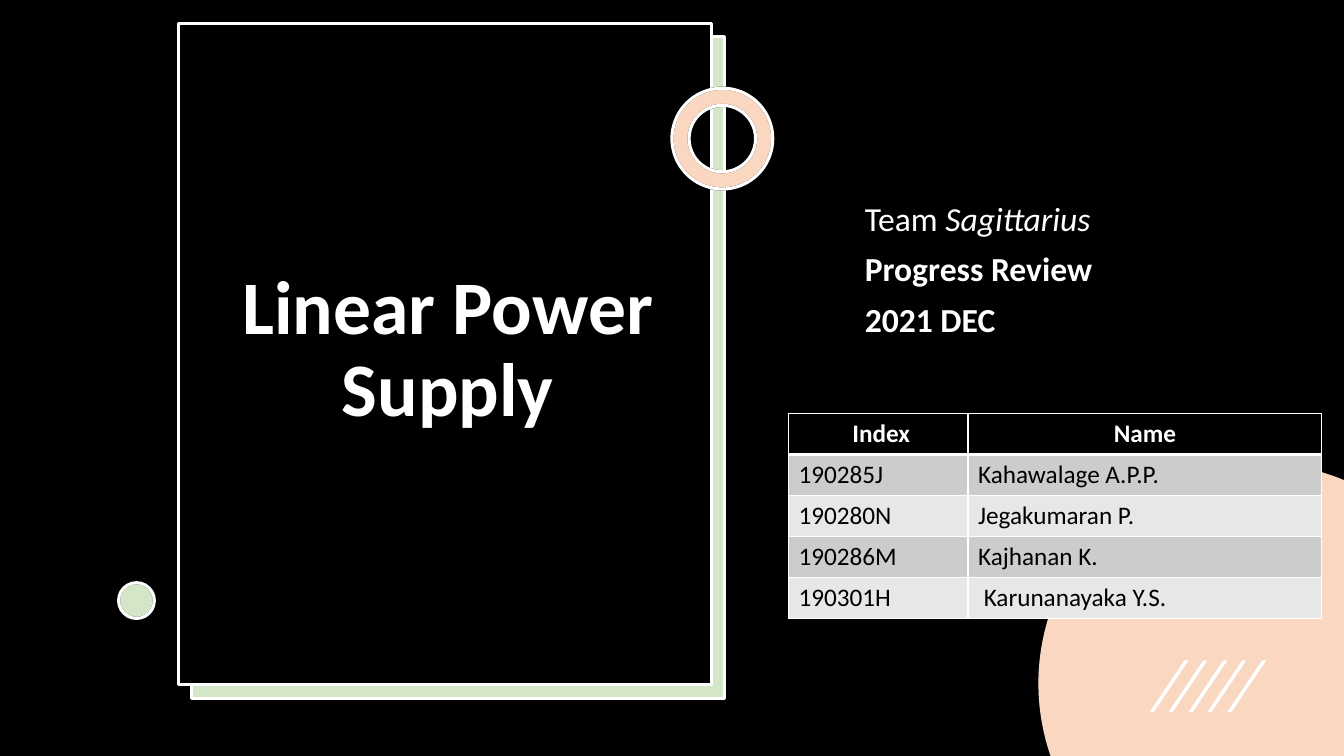
import math

from lxml import etree
from pptx import Presentation
from pptx import util as u
from pptx.dml import color
from pptx.enum import shapes, text
from pptx.oxml import ns

SCALE = 9525
SLIDE_WIDTH, SLIDE_HEIGHT = 1280, 720
FONT = "Calibri"
BLACK, WHITE, GREEN, ORANGE = "000000", "FFFFFF", "70AD47", "ED7D31"
BANDS = ["CCCCCC", "E7E7E7"]
MEMBERS = [
    (" Index", "Name"),
    ("190285J", "Kahawalage A.P.P."),
    ("190280N", "Jegakumaran P."),
    ("190286M", "Kajhanan K."),
    ("190301H", " Karunanayaka Y.S."),
]


def px(*lengths):
    """Turn lengths in px into EMU."""
    return [u.Emu(length * SCALE) for length in lengths]


def paint(target, hex_color):
    """Give a fill or a line's fill one solid colour."""
    target.solid()
    target.fore_color.rgb = color.RGBColor.from_string(hex_color)


def style_font(font, size, hex_color, bold=None):
    """Set the typeface, size, colour and weight of a font."""
    font.name, font.size, font.bold = FONT, u.Pt(size), bold
    paint(font.fill, hex_color)


def finish(shape, fill, line=None, opacity=100):
    """Apply fill, opacity and outline, and drop the shadow."""
    shape.shadow.inherit = False
    paint(shape.fill, fill)
    if opacity < 100:
        rgb = shape.element.spPr.find(ns.qn("a:solidFill"))[0]
        etree.SubElement(rgb, ns.qn("a:alpha"), val=str(opacity * 1000))
    if line:
        paint(shape.line.fill, line)
        shape.line.width = u.Pt(2.25)
    else:
        shape.line.fill.background()
    return shape


def add_tinted(draw, tint, outlined=True):
    """Draw an outline twice: a white base under a translucent tint."""
    finish(draw(), WHITE, BLACK if outlined else None)
    finish(draw(), tint, WHITE if outlined else None, opacity=30)


def add_tinted_preset(slide, kind, box, tint, adjustment=None):
    """Draw a tinted preset shape in the given box."""
    def draw():
        shape = slide.shapes.add_shape(kind, *px(*box))
        if adjustment is not None:
            shape.adjustments[0] = adjustment
        return shape

    add_tinted(draw, tint)


def place_placeholder(slide, placeholder, box):
    """Move a placeholder to a box, in front of what is already drawn."""
    slide.shapes.element.append(placeholder.element)
    placeholder.left, placeholder.top, placeholder.width, placeholder.height = px(*box)
    placeholder.text_frame.word_wrap = True
    return placeholder.text_frame


def add_title_panel(slide, left, top, width, height):
    """Draw the framed title panel with its offset green backing."""
    rectangle = shapes.MSO_SHAPE.RECTANGLE
    add_tinted_preset(slide, rectangle, (left + 12, top + 13, width, height), GREEN)
    front = slide.shapes.add_shape(rectangle, *px(left, top, width, height))
    finish(front, BLACK, WHITE)
    frame = place_placeholder(slide, slide.shapes.title, (left + 43, top + 32, width - 81, height - 69))
    frame.text = "Linear Power Supply"
    frame.vertical_anchor = text.MSO_ANCHOR.MIDDLE
    paragraph = frame.paragraphs[0]
    paragraph.alignment = text.PP_ALIGN.CENTER
    paragraph.line_spacing = 0.9
    style_font(paragraph.font, 54, WHITE, bold=True)


def add_corner_circle(slide, left, top, diameter):
    """Draw a tinted circle cut off by the slide's right and bottom edges."""
    radius = diameter // 2
    center_x, center_y = left + radius, top + radius
    start = math.pi - math.asin((SLIDE_HEIGHT - center_y) / radius)
    end = 2 * math.pi - math.acos((SLIDE_WIDTH - center_x) / radius)
    steps = 90
    angles = [start + (end - start) * step / steps for step in range(steps + 1)]
    points = [
        (round((center_x + radius * math.cos(angle)) * SCALE),
         round((center_y + radius * math.sin(angle)) * SCALE))
        for angle in angles
    ]
    points.append(tuple(px(SLIDE_WIDTH, SLIDE_HEIGHT)))

    def draw():
        builder = slide.shapes.build_freeform(*points[0])
        builder.add_line_segments(points[1:], close=True)
        return builder.convert_to_shape()

    add_tinted(draw, ORANGE, outlined=False)


def add_subtitle(slide, *box):
    """Fill the subtitle with the team, the occasion and the date."""
    frame = place_placeholder(slide, slide.placeholders[1], box)
    frame.text = "Team \nProgress Review\n2021 DEC"
    frame.vertical_anchor = text.MSO_ANCHOR.TOP
    for index, paragraph in enumerate(frame.paragraphs):
        paragraph.alignment = text.PP_ALIGN.LEFT
        paragraph.line_spacing = 0.9
        paragraph.space_before = u.Pt(10)
        style_font(paragraph.font, 24, WHITE, bold=index > 0)
    team = frame.paragraphs[0].add_run()
    team.text = "Sagittarius"
    team.font.italic = True


def add_stripes(slide, left, top, width, height):
    """Draw a group of five slanted stripes, half a stripe width apart."""
    group = slide.shapes.add_group_shape()
    for index in range(5):
        stripe = group.shapes.add_shape(
            shapes.MSO_SHAPE.PARALLELOGRAM, *px(left + index * width // 2, top, width, height))
        stripe.adjustments[0] = 0.89
        finish(stripe, WHITE)


def add_borders(cell, bottom_width):
    """Give a cell white borders."""
    properties = cell._tc.get_or_add_tcPr()
    for side, width in (("L", 1), ("R", 1), ("T", 1), ("B", bottom_width)):
        line = etree.SubElement(properties, ns.qn("a:ln" + side), w=str(u.Pt(width)))
        fill = etree.SubElement(line, ns.qn("a:solidFill"))
        etree.SubElement(fill, ns.qn("a:srgbClr"), val=WHITE)


def add_member_table(slide, left, top, width, height):
    """Draw the banded table of team members."""
    frame = slide.shapes.add_table(len(MEMBERS), 2, *px(left, top, width, height))
    table = frame.table
    index_width = 171
    table.columns[0].width, table.columns[1].width = px(index_width, width - index_width)
    for row, member in enumerate(MEMBERS):
        header = row == 0
        for column, value in enumerate(member):
            cell = table.cell(row, column)
            cell.text = value
            add_borders(cell, 3 if header else 1)
            paint(cell.fill, BLACK if header else BANDS[(row - 1) % 2])
            paragraph = cell.text_frame.paragraphs[0]
            paragraph.alignment = text.PP_ALIGN.CENTER if header else text.PP_ALIGN.LEFT
            style_font(paragraph.font, 18, WHITE if header else BLACK, bold=header)


def main():
    """Build and save the cover slide."""
    presentation = Presentation()
    presentation.slide_width, presentation.slide_height = px(SLIDE_WIDTH, SLIDE_HEIGHT)
    slide = presentation.slides.add_slide(presentation.slide_layouts[0])
    paint(slide.background.fill, BLACK)
    add_title_panel(slide, 170, 22, 508, 630)
    add_corner_circle(slide, 989, 441, 420)
    add_subtitle(slide, 814, 188, 350, 248)
    add_tinted_preset(slide, shapes.MSO_SHAPE.DONUT, (640, 84, 96, 96), ORANGE, 0.17)
    add_tinted_preset(slide, shapes.MSO_SHAPE.OVAL, (113, 555, 34, 34), GREEN)
    add_stripes(slide, 1095, 629, 37, 49)
    add_member_table(slide, 751, 394, 508, 195)
    presentation.save("out.pptx")


if __name__ == "__main__":
    main()
